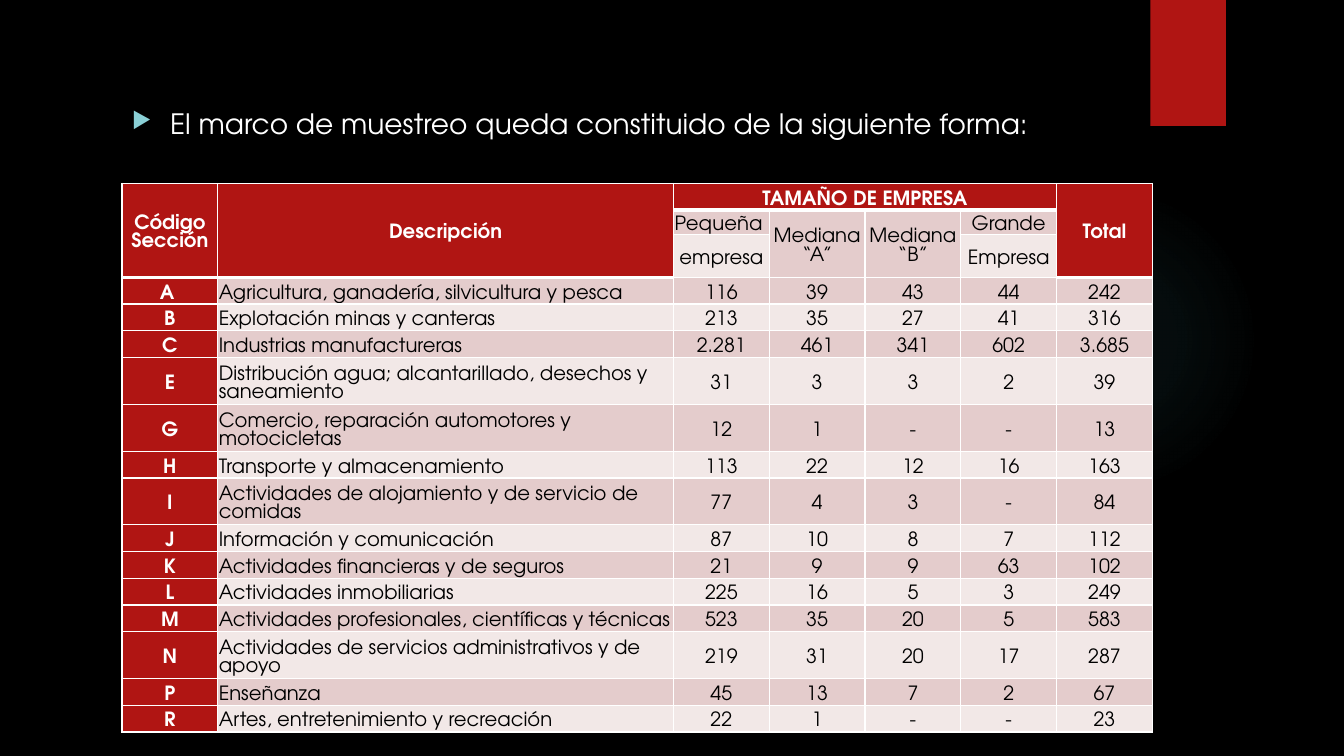
from lxml.etree import SubElement
from pptx import Presentation
from pptx.dml.color import RGBColor
from pptx.enum.shapes import MSO_SHAPE
from pptx.enum.text import MSO_ANCHOR, PP_ALIGN
from pptx.oxml.ns import qn
from pptx.util import Inches, Pt

BLACK = RGBColor(0x00, 0x00, 0x00)
WHITE = RGBColor(0xFF, 0xFF, 0xFF)
RED = RGBColor(0xB0, 0x15, 0x13)
ROSE = RGBColor(0xE4, 0xCC, 0xCC)
PALE_ROSE = RGBColor(0xF2, 0xE8, 0xE7)
TEAL = RGBColor(0x50, 0xB9, 0xC1)
AQUA = RGBColor(0x8A, 0xD0, 0xD6)
FONT = "TeX Gyre Adventor"

COLUMN_WIDTHS = [0.95, 4.52] + [0.95] * 5
HEADER_HEIGHTS = [0.26, 0.25, 0.37]
LINE_HEIGHT = 0.265
TWO_LINE_HEIGHT = 0.465
TWO_LINE_CODES = "EGIN"

HEADERS = [
    (0, 0, 2, 0, "Código Sección"),
    (0, 1, 2, 1, "Descripción"),
    (0, 2, 0, 5, "TAMAÑO DE EMPRESA"),
    (0, 6, 2, 6, "Total"),
    (1, 2, 1, 2, "Pequeña "),
    (2, 2, 2, 2, "empresa"),
    (1, 3, 2, 3, "Mediana “A”"),
    (1, 4, 2, 4, "Mediana “B”"),
    (1, 5, 1, 5, "Grande"),
    (2, 5, 2, 5, "Empresa"),
]
SECTIONS = [
    ("A ", "Agricultura, ganadería, silvicultura y pesca", "116", "39", "43", "44", "242"),
    ("B", "Explotación minas y canteras", "213", "35", "27", "41", "316"),
    ("C", "Industrias manufactureras", "2.281", "461", "341", "602", "3.685"),
    ("E", "Distribución agua; alcantarillado, desechos y saneamiento", "31", "3", "3", "2", "39"),
    ("G", "Comercio, reparación automotores y motocicletas", "12", "1", "-", "-", "13"),
    ("H", "Transporte y almacenamiento", "113", "22", "12", "16", "163"),
    ("I", "Actividades de alojamiento y de servicio de comidas", "77", "4", "3", "-", "84"),
    ("J", "Información y comunicación", "87", "10", "8", "7", "112"),
    ("K", "Actividades financieras y de seguros", "21", "9", "9", "63", "102"),
    ("L", "Actividades inmobiliarias", "225", "16", "5", "3", "249"),
    ("M", "Actividades profesionales, científicas y técnicas", "523", "35", "20", "5", "583"),
    ("N", "Actividades de servicios administrativos y de apoyo", "219", "31", "20", "17", "287"),
    ("P", "Enseñanza", "45", "13", "7", "2", "67"),
    ("R", "Artes, entretenimiento y recreación", "22", "1", "-", "-", "23"),
]


def write_text(text_frame, text, size=14, color=BLACK, bold=False, align=PP_ALIGN.CENTER):
    paragraph = text_frame.paragraphs[0]
    paragraph.alignment = align
    run = paragraph.add_run()
    run.text = text
    run.font.name = FONT
    run.font.size = Pt(size)
    run.font.bold = bold
    run.font.color.rgb = color
    return paragraph


def add_plain_shape(slide, kind, left, top, width, height, color):
    shape = slide.shapes.add_shape(
        kind, Inches(left), Inches(top), Inches(width), Inches(height))
    shape.shadow.inherit = False
    shape.fill.solid()
    shape.fill.fore_color.rgb = color
    shape.line.fill.background()
    return shape


def add_glow(slide, left, top, size):
    glow = add_plain_shape(slide, MSO_SHAPE.OVAL, left, top, size, size, TEAL)
    properties = glow.fill._xPr
    solid = properties.find(qn("a:solidFill"))
    gradient = SubElement(properties, qn("a:gradFill"), rotWithShape="1")
    properties.replace(solid, gradient)
    stops = SubElement(gradient, qn("a:gsLst"))
    for position, opacity in ((0, 7), (36, 6), (69, 0)):
        stop = SubElement(stops, qn("a:gs"), pos=str(position * 1000))
        color = SubElement(stop, qn("a:srgbClr"), val=str(TEAL))
        SubElement(color, qn("a:alpha"), val=str(opacity * 1000))
    focus = SubElement(gradient, qn("a:path"), path="circle")
    SubElement(focus, qn("a:fillToRect"), l="50000", t="50000", r="50000", b="50000")


def add_statement(slide, left, top, width, height):
    box = slide.shapes.add_textbox(
        Inches(left), Inches(top), Inches(width), Inches(height))
    box.text_frame.word_wrap = True
    paragraph = write_text(
        box.text_frame, "El marco de muestreo queda constituido de la siguiente forma:",
        size=20, color=WHITE, align=PP_ALIGN.LEFT)
    properties = paragraph._p.get_or_add_pPr()
    indent = Inches(0.38)
    properties.set("marL", str(indent))
    properties.set("indent", str(-indent))
    bullet_color = SubElement(properties, qn("a:buClr"))
    SubElement(bullet_color, qn("a:srgbClr"), val=str(AQUA))
    SubElement(properties, qn("a:buSzPct"), val="80000")
    SubElement(properties, qn("a:buChar"), char="▶")


def format_cell(cell, fill, bottom_width):
    cell.margin_left = cell.margin_right = Inches(0.01)
    cell.margin_top = Inches(0.06)
    cell.margin_bottom = 0
    cell.vertical_anchor = MSO_ANCHOR.MIDDLE
    cell.text_frame.paragraphs[0].line_spacing = Pt(13)
    properties = cell._tc.get_or_add_tcPr()
    for side, width in (("L", 1), ("R", 1), ("T", 1), ("B", bottom_width)):
        border = SubElement(properties, qn(f"a:ln{side}"), w=str(Pt(width)))
        color = SubElement(border, qn("a:solidFill"))
        SubElement(color, qn("a:srgbClr"), val=str(WHITE))
    cell.fill.solid()
    cell.fill.fore_color.rgb = fill


def add_sample_table(slide, left, top):
    section_heights = [
        TWO_LINE_HEIGHT if section[0] in TWO_LINE_CODES else LINE_HEIGHT
        for section in SECTIONS]
    row_heights = HEADER_HEIGHTS + section_heights
    frame = slide.shapes.add_table(
        len(row_heights), len(COLUMN_WIDTHS), Inches(left), Inches(top),
        Inches(sum(COLUMN_WIDTHS)), Inches(sum(row_heights)))
    table = frame.table
    for column, width in zip(table.columns, COLUMN_WIDTHS):
        column.width = Inches(width)
    for row, height in zip(table.rows, row_heights):
        row.height = Inches(height)

    for row_index in range(len(row_heights)):
        for column_index in range(len(COLUMN_WIDTHS)):
            is_heading = row_index == 0 or column_index == 0 or (
                row_index < 3 and column_index in (1, 6))
            band = ROSE if row_index % 2 else PALE_ROSE
            thick = row_index == 0 or (row_index == 2 and column_index in (0, 1, 6))
            format_cell(table.cell(row_index, column_index),
                        RED if is_heading else band, 3 if thick else 1)

    for first_row, first_column, last_row, last_column, text in HEADERS:
        cell = table.cell(first_row, first_column)
        if (first_row, first_column) != (last_row, last_column):
            cell.merge(table.cell(last_row, last_column))
        on_red = first_row == 0
        write_text(cell.text_frame, text, color=WHITE if on_red else BLACK, bold=on_red)

    for row_index, section in enumerate(SECTIONS, len(HEADER_HEIGHTS)):
        for column_index, text in enumerate(section):
            is_code = column_index == 0
            write_text(table.cell(row_index, column_index).text_frame, text,
                       color=WHITE if is_code else BLACK, bold=is_code,
                       align=PP_ALIGN.LEFT if column_index == 1 else PP_ALIGN.CENTER)


def main():
    presentation = Presentation()
    presentation.slide_width = Inches(13.33)
    presentation.slide_height = Inches(7.5)
    slide = presentation.slides.add_slide(presentation.slide_layouts[6])
    slide.background.fill.solid()
    slide.background.fill.fore_color.rgb = BLACK
    add_glow(slide, 9.41, 1.83, 3.08)
    add_plain_shape(slide, MSO_SHAPE.RECTANGLE, 11.41, 0, 0.75, 1.25, RED)
    add_statement(slide, 1.21, 1.01, 9.78, 1.48)
    add_sample_table(slide, 1.21, 1.82)
    presentation.save("out.pptx")


if __name__ == "__main__":
    main()
